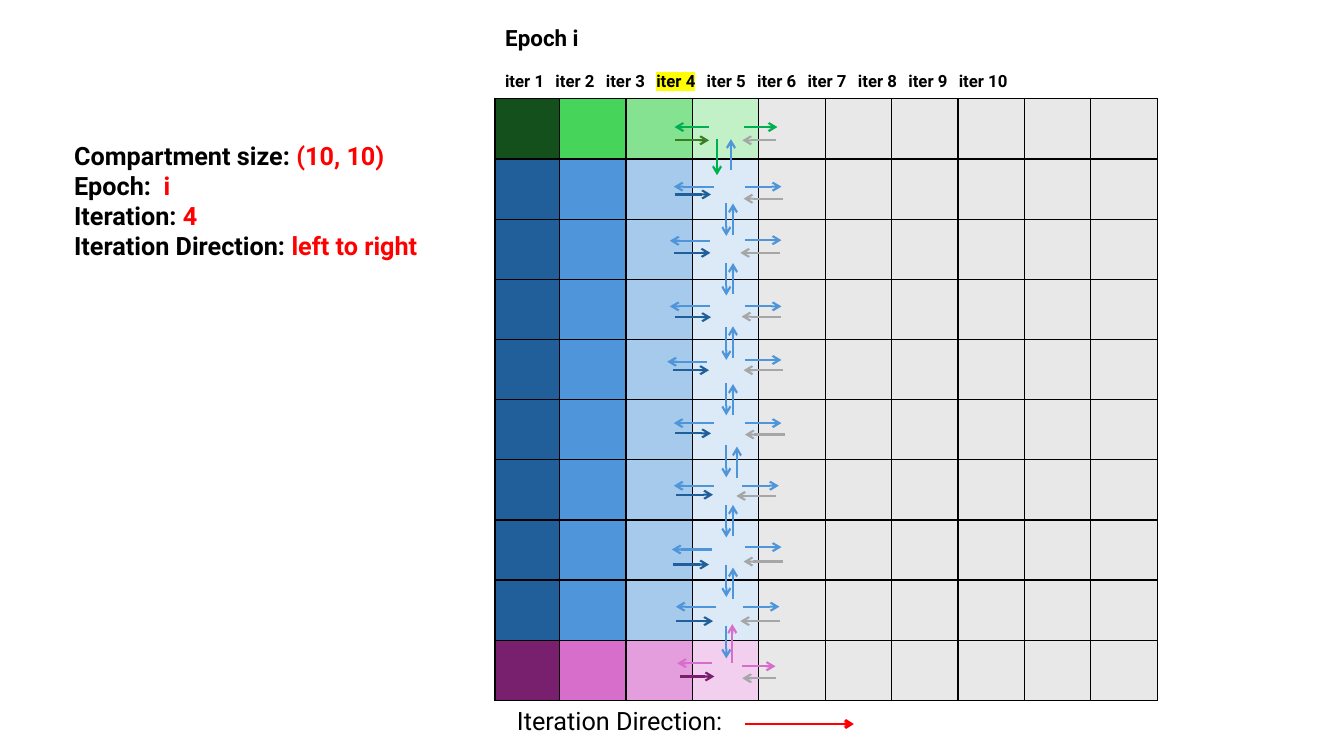
from dataclasses import dataclass

import lxml.etree
import pptx
import pptx.dml.color
import pptx.enum.shapes
import pptx.enum.text
import pptx.oxml
import pptx.oxml.ns
import pptx.util

qn = pptx.oxml.ns.qn
In = pptx.util.Inches


@dataclass(frozen=True)
class Theme:
    font: str = "Roboto"
    label: int = 12
    heading: int = 16
    text: int = 18
    black: str = "000000"
    red: str = "FF0000"
    marker: str = "FFFF00"
    gray: str = "A6A6A6"
    idle: str = "E8E8E8"
    green: str = "00B050"
    dark_green: str = "3B7D23"
    greens: tuple = ("13501B", "47D45A", "84E291", "C2F1C8")
    blues: tuple = ("215F9A", "4E95D9", "A6CAEC", "DCEAF7")
    pinks: tuple = ("78206E", "D86ECC", "E59EDD", "F2CFEE")


T = Theme()
N = 10
LEFT, TOP = In(4.91), In(0.98)
FIRST_W, COL_W, ROW_H = In(0.64), In(6.57 - 0.64) // (N - 1), In(5.97) // N
CURRENT = 4


def col(c):
    return int(LEFT + FIRST_W + (c - 1) * COL_W)


def row(r):
    return int(TOP + r * ROW_H)


def arrow_families():
    """Yield colour, columns across, rows down and the (column, row) starts."""
    dark, blue = T.blues[:2]
    purple, pink = T.pinks[:2]
    yield blue, 0.55, 0, [(3.79, 1.46), (3.79, 2.35), (3.79, 3.45), (3.79, 4.34),
                          (3.79, 5.39), (3.75, 6.43), (3.79, 7.45), (3.76, 8.44)]
    yield blue, -0.6, 0, [(3.32, 1.46), (3.26, 2.36), (3.26, 3.45), (3.22, 4.37),
                          (3.32, 5.39), (3.32, 6.43), (3.29, 7.49), (3.35, 8.44)]
    yield blue, 0, 0.54, [(3.51, r) for r in
                          (1.74, 2.73, 3.8, 4.72, 5.75, 6.75, 7.74, 8.76)]
    yield blue, 0, -0.52, [(3.58, 1.19), (3.61, 2.26), (3.61, 3.25), (3.61, 4.3),
                           (3.61, 5.26), (3.67, 6.3), (3.61, 7.27), (3.61, 8.31)]
    yield T.green, 0, 0.6, [(3.37, 0.67)]
    yield T.green, 0.5, 0, [(3.78, 0.47)]
    yield T.green, -0.52, 0, [(3.25, 0.47)]
    yield pink, 0, -0.65, [(3.6, 9.38)]
    yield pink, -0.52, 0, [(3.29, 9.38)]
    yield pink, 0.5, 0, [(3.75, 9.43)]
    yield dark, 0.55, 0, [(2.73, 1.59), (2.72, 2.56), (2.73, 3.63), (2.7, 4.51),
                          (2.73, 5.56), (2.76, 6.58), (2.7, 7.74), (2.76, 8.68)]
    yield T.gray, -0.6, 0, [(4.37, 1.66), (4.32, 2.56), (4.34, 3.62), (4.37, 4.51),
                            (4.39, 5.58), (4.26, 6.6), (4.37, 7.69), (4.32, 8.68)]
    yield T.dark_green, 0.52, 0, [(2.73, 0.69)]
    yield purple, 0.52, 0, [(2.81, 9.6)]
    yield T.gray, -0.51, 0, [(4.26, 0.69), (4.26, 9.63)]


def rgb(color):
    return pptx.dml.color.RGBColor.from_string(color)


def place(sp, c, r, cols, rows):
    """Set a shape's place and size in grid units."""
    sp.left, sp.top = col(c), row(r)
    sp.width, sp.height = int(cols * COL_W), int(rows * ROW_H)
    return sp


def add_text_box(s, *cell_box):
    return place(s.shapes.add_textbox(0, 0, 0, 0), *cell_box)


def write(sp, lines, size, bold=False, tabs=()):
    """Fill a shape with lines, each a list of (text, colour, highlight)."""
    tf = sp.text_frame
    tf.word_wrap = True
    tf.auto_size = pptx.enum.text.MSO_AUTO_SIZE.NONE
    tf.vertical_anchor = pptx.enum.text.MSO_ANCHOR.TOP
    for i, line in enumerate(lines):
        p = tf.paragraphs[0] if i == 0 else tf.add_paragraph()
        p.alignment = pptx.enum.text.PP_ALIGN.LEFT
        p.line_spacing, p.space_before = 1.0, pptx.util.Pt(0)
        pPr = p._p.get_or_add_pPr()
        pPr.set("marL", "0")
        pPr.set("indent", "0")
        lxml.etree.SubElement(pPr, qn("a:buNone"))
        if tabs:
            stops = lxml.etree.SubElement(pPr, qn("a:tabLst"))
            for pos in tabs:
                lxml.etree.SubElement(stops, qn("a:tab"), pos=str(pos), algn="l")
        for text, color, highlight in line:
            r = p.add_run()
            r.text = text
            r.font.name, r.font.size, r.font.bold = T.font, pptx.util.Pt(size), bold
            r.font.color.rgb = rgb(color)
            if highlight:
                mark = lxml.etree.Element(qn("a:highlight"))
                lxml.etree.SubElement(mark, qn("a:srgbClr"), val=highlight)
                r._r.rPr.find(qn("a:solidFill")).addnext(mark)


def add_arrow(s, start, across, down, color, width=1.5):
    c, r = start
    line = s.shapes.add_connector(
        pptx.enum.shapes.MSO_CONNECTOR.STRAIGHT,
        col(c), row(r), col(c + across), row(r + down))
    line.line.color.rgb = rgb(color)
    line.line.width = pptx.util.Pt(width)
    lxml.etree.SubElement(line.line._get_or_add_ln(), qn("a:tailEnd"), type="arrow")
    lxml.etree.SubElement(line._element.spPr, qn("a:effectLst"))


def border(cell):
    tcPr = cell._tc.get_or_add_tcPr()
    for i, side in enumerate(("lnL", "lnR", "lnT", "lnB")):
        ln = lxml.etree.Element(qn("a:" + side), w=str(pptx.util.Pt(1)))
        fill = lxml.etree.SubElement(ln, qn("a:solidFill"))
        lxml.etree.SubElement(fill, qn("a:srgbClr"), val=T.black)
        tcPr.insert(i, ln)


def add_compartment(s):
    """Draw the grid: a coloured column per iteration done, the rest idle."""
    table = s.shapes.add_table(
        N, N, LEFT, TOP, FIRST_W + (N - 1) * COL_W, N * ROW_H).table
    table.first_row = table.horz_banding = False
    for c, column in enumerate(table.columns):
        column.width = COL_W if c else FIRST_W
    for r, shades in enumerate([T.greens] + [T.blues] * (N - 2) + [T.pinks]):
        table.rows[r].height = ROW_H
        for c in range(N):
            cell = table.cell(r, c)
            cell.fill.solid()
            cell.fill.fore_color.rgb = rgb(shades[c] if c < CURRENT else T.idle)
            border(cell)


def add_iteration_labels(s):
    line = []
    for n in range(1, N + 1):
        if n > 1:
            line.append(("\t", T.black, None))
        line.append((f"iter {n}", T.black, T.marker if n == CURRENT else None))
    tabs = [In(0.72) + i * In(0.636) for i in range(N - 1)]
    write(add_text_box(s, 0.03, -0.55, 10.9, 0.5), [line], T.label, bold=True, tabs=tabs)


def main():
    prs = pptx.Presentation()
    prs.slide_width, prs.slide_height = In(13.33), In(7.5)
    s = prs.slides.add_slide(prs.slide_layouts[1])

    add_compartment(s)
    title = place(s.shapes.title, 0.03, -1.32, 10.9, 0.65)
    write(title, [[("Epoch i", T.black, None)]], T.heading, bold=True)
    add_iteration_labels(s)

    facts = [("Compartment size: ", "(10, 10)"), ("Epoch: ", " i"),
             ("Iteration: ", "4"), ("Iteration Direction: ", "left to right")]
    lines = [[(name, T.black, None), (value, T.red, None)] for name, value in facts]
    write(place(s.placeholders[1], -6.46, 0.6, 5.78, 3.2), lines, T.text, bold=True)

    caption = add_text_box(s, 0.21, 10, 5.95, 0.67)
    write(caption, [[("Iteration Direction:", T.black, None)]], T.text)
    add_arrow(s, (3.79, 10.39), 1.64, 0, T.red, width=2)
    for color, across, down, starts in arrow_families():
        for start in starts:
            add_arrow(s, start, across, down, color)
    prs.save("out.pptx")


if __name__ == "__main__":
    main()
